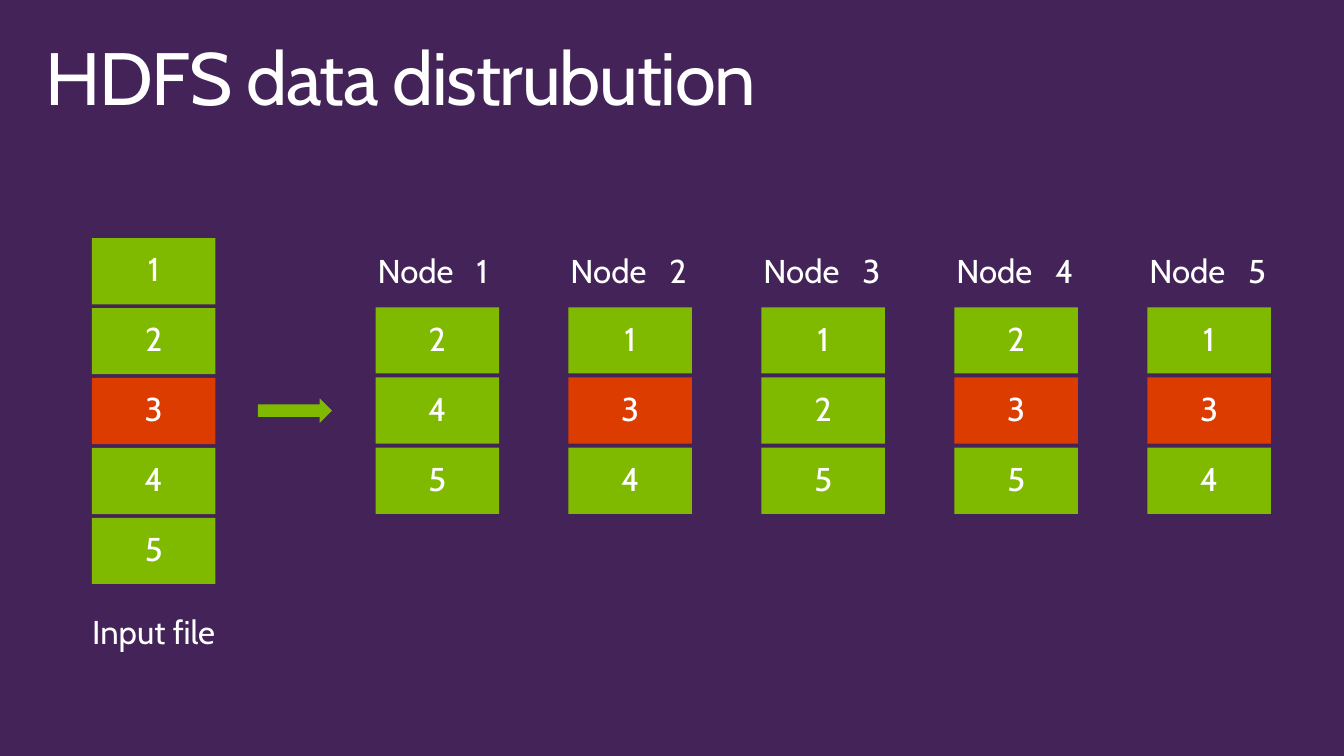
from collections import namedtuple
from dataclasses import dataclass

from lxml import etree
from pptx import Presentation
from pptx.dml.color import RGBColor
from pptx.enum.shapes import MSO_SHAPE
from pptx.enum.text import MSO_ANCHOR, MSO_AUTO_SIZE, PP_ALIGN
from pptx.oxml.ns import qn
from pptx.util import Inches, Pt

RECTANGLE, RIGHT_ARROW = MSO_SHAPE.RECTANGLE, MSO_SHAPE.RIGHT_ARROW
LEFT, CENTER = PP_ALIGN.LEFT, PP_ALIGN.CENTER
TOP, MIDDLE = MSO_ANCHOR.TOP, MSO_ANCHOR.MIDDLE
GROW, FIXED = MSO_AUTO_SIZE.SHAPE_TO_FIT_TEXT, MSO_AUTO_SIZE.NONE

Box = namedtuple("Box", "left top width height")


@dataclass(frozen=True)
class Theme:
    background: str = "442359"
    block: str = "7FBA00"
    highlight: str = "DC3C00"
    text: str = "FFFFFF"
    font: str = "Cabin"
    title_size: int = 54
    body_size: int = 24
    line_spacing: float = 0.9


THEME = Theme()
SLIDE_WIDTH, SLIDE_HEIGHT = 13.6, 7.65
BLOCK_WIDTH, BLOCK_HEIGHT = 1.25, 0.67
LABEL_HEIGHT = 0.69
LABEL_INSET = (0.2, 0.16)
TRACKED_BLOCK = 3
INPUT_BLOCKS = (1, 2, 3, 4, 5)
NODE_BLOCKS = ((2, 4, 5), (1, 3, 4), (1, 2, 5), (2, 3, 5), (1, 3, 4))


def inches(box):
    return [Inches(length) for length in box]


def write_text(shape, text, size=THEME.body_size, align=LEFT, anchor=TOP,
               inset=LABEL_INSET, wrap=True, auto_size=FIXED,
               space_after=0, tracking=0, tab=None):
    frame = shape.text_frame
    frame.margin_left = frame.margin_right = Inches(inset[0])
    frame.margin_top = frame.margin_bottom = Inches(inset[1])
    frame.word_wrap, frame.auto_size = wrap, auto_size
    frame.vertical_anchor = anchor
    paragraph = frame.paragraphs[0]
    paragraph.alignment = align
    paragraph.line_spacing = THEME.line_spacing
    paragraph.space_after = Pt(space_after)
    if tab:
        stops = etree.SubElement(paragraph._p.get_or_add_pPr(), qn("a:tabLst"))
        etree.SubElement(stops, qn("a:tab"), pos=str(Inches(tab)), algn="l")
    run = paragraph.add_run()
    run.text = text
    run.font.size = Pt(size)
    run.font.name = THEME.font
    run.font.color.rgb = RGBColor.from_string(THEME.text)
    if tracking:
        run._r.get_or_add_rPr().set("spc", str(tracking * 100))


def add_text(slide, box, text, **text_format):
    write_text(slide.shapes.add_textbox(*inches(box)), text, **text_format)


def add_filled_shape(slide, kind, box, color):
    shape = slide.shapes.add_shape(kind, *inches(box))
    shape.shadow.inherit = False
    shape.fill.solid()
    shape.fill.fore_color.rgb = RGBColor.from_string(color)
    shape.line.fill.background()
    return shape


def add_block_stack(slide, box, blocks):
    """Spread equal blocks evenly over the height of the box."""
    pitch = (box.height - BLOCK_HEIGHT) / (len(blocks) - 1)
    for row, number in enumerate(blocks):
        color = THEME.highlight if number == TRACKED_BLOCK else THEME.block
        place = Box(box.left, box.top + row * pitch, box.width, BLOCK_HEIGHT)
        block = add_filled_shape(slide, RECTANGLE, place, color)
        write_text(block, str(number), align=CENTER, anchor=MIDDLE)


def add_input_file(slide, box):
    add_block_stack(slide, box, INPUT_BLOCKS)
    overhang = 0.38
    label = Box(box.left - overhang, box.top + box.height + 0.16,
                box.width + 2 * overhang, LABEL_HEIGHT)
    add_text(slide, label, "Input file", align=CENTER, auto_size=GROW,
             space_after=6)


def add_nodes(slide, box):
    pitch = (box.width - BLOCK_WIDTH) / (len(NODE_BLOCKS) - 1)
    for column, blocks in enumerate(NODE_BLOCKS):
        left = box.left + column * pitch
        stack = Box(left, box.top, BLOCK_WIDTH, box.height)
        add_block_stack(slide, stack, blocks)
        label = Box(left - 0.18, box.top - LABEL_HEIGHT, 1.62, LABEL_HEIGHT)
        add_text(slide, label, f"Node \t{column + 1}", wrap=False,
                 auto_size=GROW, space_after=6, tab=1)


def build_distribution_slide(presentation):
    slide = presentation.slides.add_slide(presentation.slide_layouts[6])
    slide.background.fill.solid()
    slide.background.fill.fore_color.rgb = RGBColor.from_string(THEME.background)

    # Title
    add_text(slide, Box(0.3, 0.32, SLIDE_WIDTH - 0.6, 1),
             "HDFS data distrubution", size=THEME.title_size,
             inset=(0.16, 0.1), tracking=-1)

    # Input file, arrow and the nodes that store its blocks
    add_input_file(slide, Box(0.93, 2.41, BLOCK_WIDTH, 3.5))
    add_filled_shape(slide, RIGHT_ARROW, Box(2.61, 4.03, 0.75, 0.25), THEME.block)
    add_nodes(slide, Box(3.8, 3.11, 9.06, 2.09))


def main():
    presentation = Presentation()
    presentation.slide_width = Inches(SLIDE_WIDTH)
    presentation.slide_height = Inches(SLIDE_HEIGHT)
    build_distribution_slide(presentation)
    presentation.save("out.pptx")


if __name__ == "__main__":
    main()
